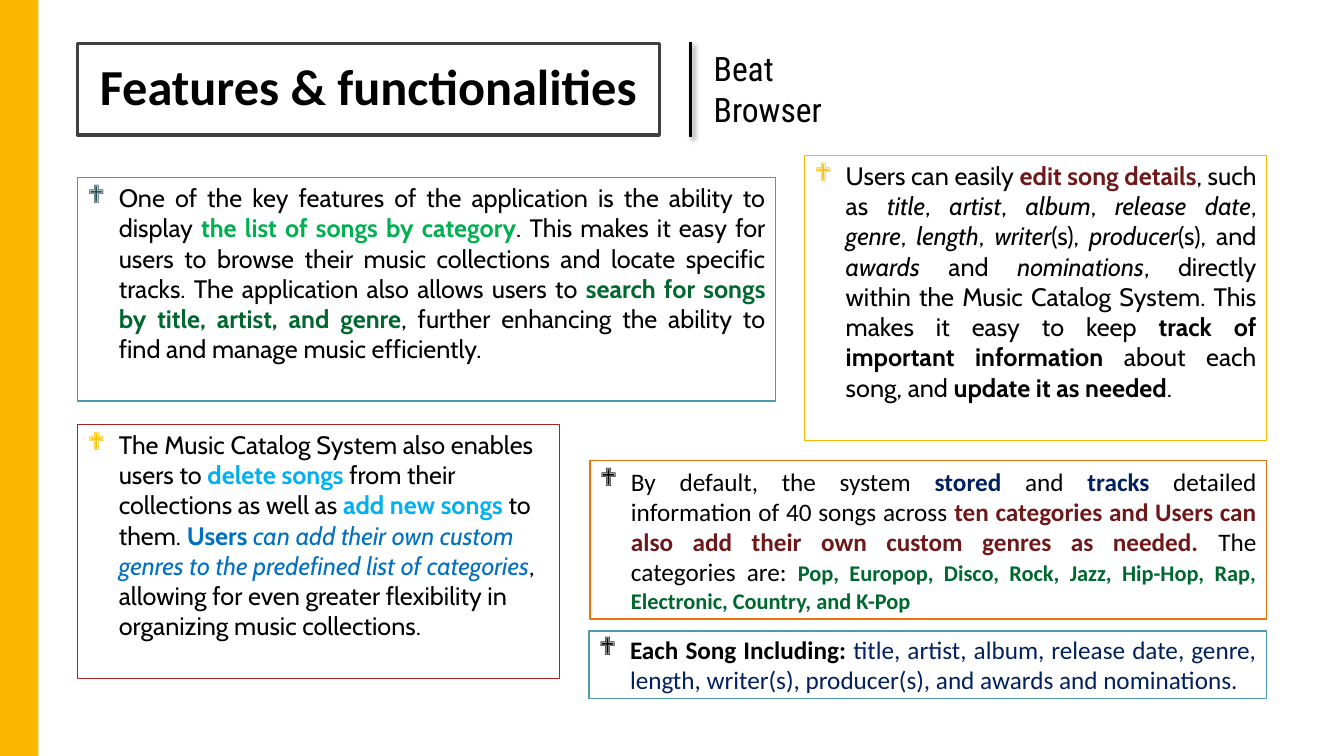
"""Builds the slide on the features and functionalities of a music catalog."""
from lxml import etree
from pptx import Presentation
from pptx.dml.color import RGBColor
from pptx.enum.shapes import MSO_CONNECTOR, MSO_SHAPE
from pptx.enum.text import MSO_ANCHOR, PP_ALIGN
from pptx.oxml.ns import qn
from pptx.util import Inches, Pt

RECTANGLE = MSO_SHAPE.RECTANGLE
STRAIGHT = MSO_CONNECTOR.STRAIGHT
TOP, MIDDLE = MSO_ANCHOR.TOP, MSO_ANCHOR.MIDDLE
LEFT, CENTER, JUSTIFY = PP_ALIGN.LEFT, PP_ALIGN.CENTER, PP_ALIGN.JUSTIFY

BLACK, WHITE, AMBER, GOLD = "000000", "FFFFFF", "FAB900", "FFC000"
TEAL, DARK_TEAL, ORANGE, RED = "4B9BAA", "254E55", "EE7008", "A72327"
MAROON, NAVY, GREEN, DARK_GREEN = "6F181A", "002060", "00B050", "00682F"
SKY, BLUE, GRAY = "00B0F0", "0070C0", "404040"


def rgb(value):
    """Turn a hex string into a colour."""
    return RGBColor.from_string(value)


def text(words, **style):
    """Pair words with their format: color, bold, italic or size."""
    return words, style


def bold(words, color=BLACK, **style):
    """Give words in bold."""
    return text(words, bold=True, color=color, **style)


def italic(words, color=BLACK):
    """Give words in italics."""
    return text(words, italic=True, color=color)


class Deck:
    """Holds the style and the current slide."""

    heading_font, body_font, label_font = "Calibri", "Cabin", "Roboto Condensed"
    body_size = 18
    indent = Inches(0.31)

    def __init__(self):
        """Open a wide presentation with one blank slide."""
        self.presentation = Presentation()
        self.presentation.slide_width = Inches(13.33)
        self.presentation.slide_height = Inches(7.5)
        self.slide = self.presentation.slides.add_slide(self.presentation.slide_layouts[6])

    def add_runs(self, paragraph, parts, font, size):
        """Add formatted runs to a paragraph."""
        for words, style in parts:
            run = paragraph.add_run()
            run.text = words
            run.font.name = font
            run.font.size = Pt(style.get("size", size))
            run.font.bold = style.get("bold", False)
            run.font.italic = style.get("italic", False)
            run.font.color.rgb = rgb(style.get("color", BLACK))

    def bullet(self, paragraph, color):
        """Give a paragraph a hanging diamond bullet."""
        properties = paragraph._p.get_or_add_pPr()
        properties.set("marL", str(self.indent))
        properties.set("indent", str(-self.indent))
        tint = etree.SubElement(properties, qn("a:buClr"))
        etree.SubElement(tint, qn("a:srgbClr"), val=color)
        etree.SubElement(properties, qn("a:buFont"), typeface="Wingdings")
        etree.SubElement(properties, qn("a:buChar"), char="❖")

    def box(self, place, fill=WHITE, outline=None, weight=1):
        """Draw a rectangle."""
        shape = self.slide.shapes.add_shape(RECTANGLE, *map(Inches, place))
        shape.shadow.inherit = False
        shape.fill.solid()
        shape.fill.fore_color.rgb = rgb(fill)
        if outline:
            shape.line.color.rgb = rgb(outline)
            shape.line.width = Pt(weight)
        else:
            shape.line.fill.background()
        return shape

    def title(self, place, words):
        """Draw the framed title."""
        frame = self.box(place, outline=GRAY, weight=2.5).text_frame
        frame.word_wrap = True
        frame.vertical_anchor = MIDDLE
        frame.margin_left = frame.margin_right = Inches(0.2)
        frame.margin_top = frame.margin_bottom = Inches(0.2)
        paragraph = frame.paragraphs[0]
        paragraph.alignment = CENTER
        paragraph.line_spacing = 0.9
        self.add_runs(paragraph, [bold(words)], self.heading_font, 36)

    def label(self, place, words):
        """Set plain text beside the title."""
        frame = self.slide.shapes.add_textbox(*map(Inches, place)).text_frame
        frame.word_wrap = True
        self.add_runs(frame.paragraphs[0], [text(words)], self.label_font, 24)

    def divider(self, x, top, bottom):
        """Draw a vertical line with a soft shadow."""
        line = self.slide.shapes.add_connector(
            STRAIGHT, Inches(x), Inches(top), Inches(x), Inches(bottom))
        line.line.color.rgb = rgb(BLACK)
        line.line.width = Pt(2.5)
        effects = etree.SubElement(line._element.spPr, qn("a:effectLst"))
        shadow = etree.SubElement(effects, qn("a:outerShdw"), blurRad=str(Pt(4)),
                                  dist=str(Pt(3)), dir="2700000", rotWithShape="0")
        tint = etree.SubElement(shadow, qn("a:srgbClr"), val=BLACK)
        etree.SubElement(tint, qn("a:alpha"), val="40000")

    def feature(self, place, outline, parts, marker=BLACK, font=body_font,
                align=JUSTIFY, anchor=TOP):
        """Draw a framed box with one bulleted paragraph."""
        frame = self.box(place, outline=outline).text_frame
        frame.word_wrap = True
        frame.vertical_anchor = anchor
        paragraph = frame.paragraphs[0]
        paragraph.alignment = align
        self.bullet(paragraph, marker)
        self.add_runs(paragraph, parts, font, self.body_size)


def main():
    """Build and save the slide."""
    deck = Deck()
    deck.box((0, 0, 0.38, 7.5), fill=AMBER)
    deck.title((0.77, 0.43, 5.77, 0.91), "Features & functionalities")
    deck.label((6.98, 0.43, 1.49, 0.91), "Beat Browser")
    deck.divider(6.85, 0.42, 1.36)

    deck.feature((0.77, 1.76, 6.92, 2.22), TEAL, [
        text("One of the key features of the application is the ability to display "),
        bold("the list of songs by category", GREEN),
        text(". This makes it easy for users to browse their music collections and locate "
             "specific tracks. The application also allows users to "),
        bold("search for songs by title, artist, and genre", DARK_GREEN),
        text(", further enhancing the ability to find and manage music efficiently."),
    ], marker=DARK_TEAL)

    details = [("title", ", "), ("artist", ", "), ("album", ", "), ("release date", ", "),
               ("genre", ", "), ("length", ", "), ("writer", "(s), "),
               ("producer", "(s), and "), ("awards", " and "), ("nominations", ", ")]
    deck.feature((7.98, 1.54, 4.58, 2.83), AMBER, [
        text("Users can easily "),
        bold("edit song details", MAROON),
        text(", such as "),
        *(part for detail, joint in details for part in (italic(detail), text(joint))),
        text("directly within the Music Catalog System. This makes it easy to keep "),
        bold("track of important information"),
        text(" about each song, and "),
        bold("update it as needed"),
        text("."),
    ], marker=GOLD)

    deck.feature((0.77, 4.21, 4.78, 2.52), RED, [
        text("The Music Catalog System also enables users to "),
        bold("delete songs", SKY),
        text(" from their collections as well as "),
        bold("add new songs ", SKY),
        text("to them. "),
        bold("Users ", BLUE),
        italic("can add their own custom genres to the predefined list of categories", BLUE),
        text(", allowing for even greater flexibility in organizing music collections."),
    ], marker=GOLD, align=LEFT)

    deck.feature((5.85, 4.57, 6.71, 1.57), ORANGE, [
        text("By default, the system "),
        bold("stored", NAVY),
        text(" and "),
        bold("tracks", NAVY),
        text(" detailed information of 40 songs across "),
        bold("ten categories and Users can also add their own custom genres as needed. ", MAROON),
        text("The categories are: "),
        bold("Pop, Europop, Disco, Rock, Jazz, Hip-Hop, Rap, Electronic, Country, and K-Pop",
             DARK_GREEN, size=16),
    ], font=deck.heading_font, anchor=MIDDLE)

    deck.feature((5.84, 6.26, 6.72, 0.67), TEAL, [
        bold("Each Song Including: "),
        text("title, artist, album, release date, genre, length, writer(s), producer(s), "
             "and awards and nominations.", color=NAVY),
    ], font=deck.heading_font, anchor=MIDDLE)

    deck.presentation.save("out.pptx")


if __name__ == "__main__":
    main()
